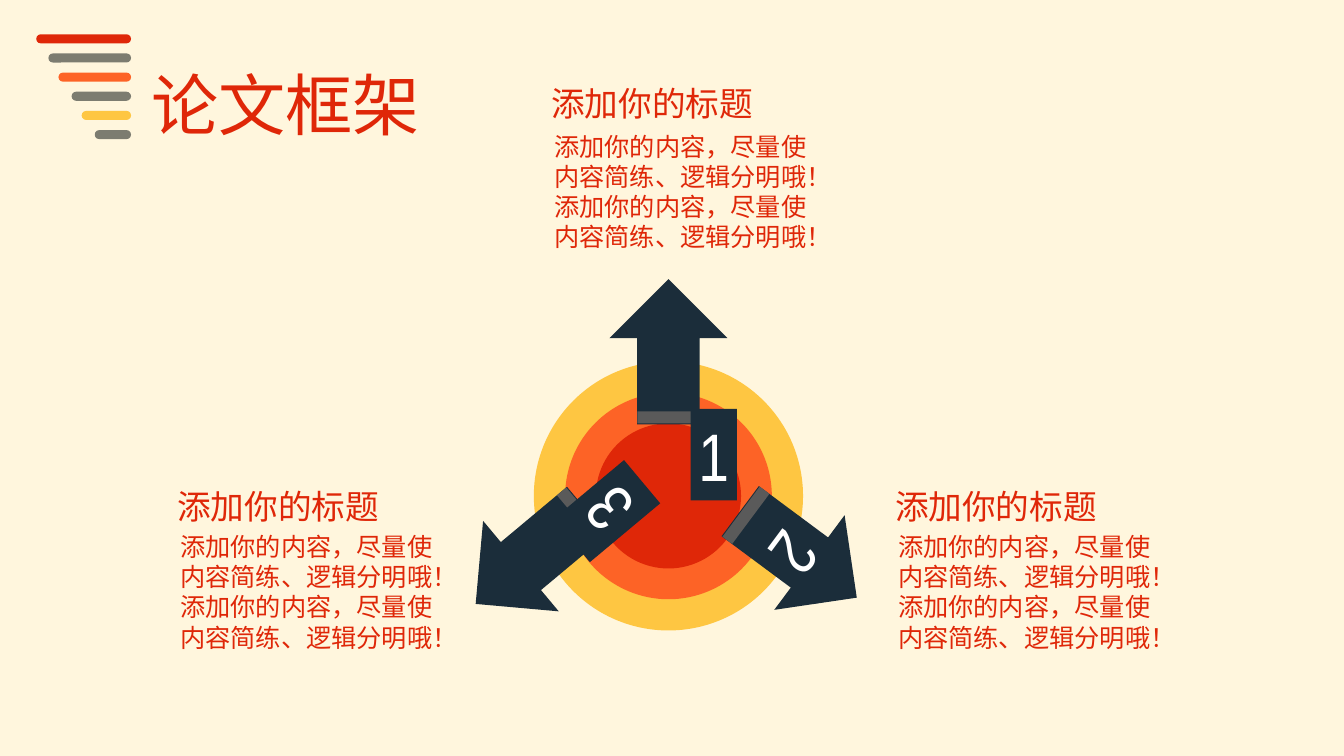
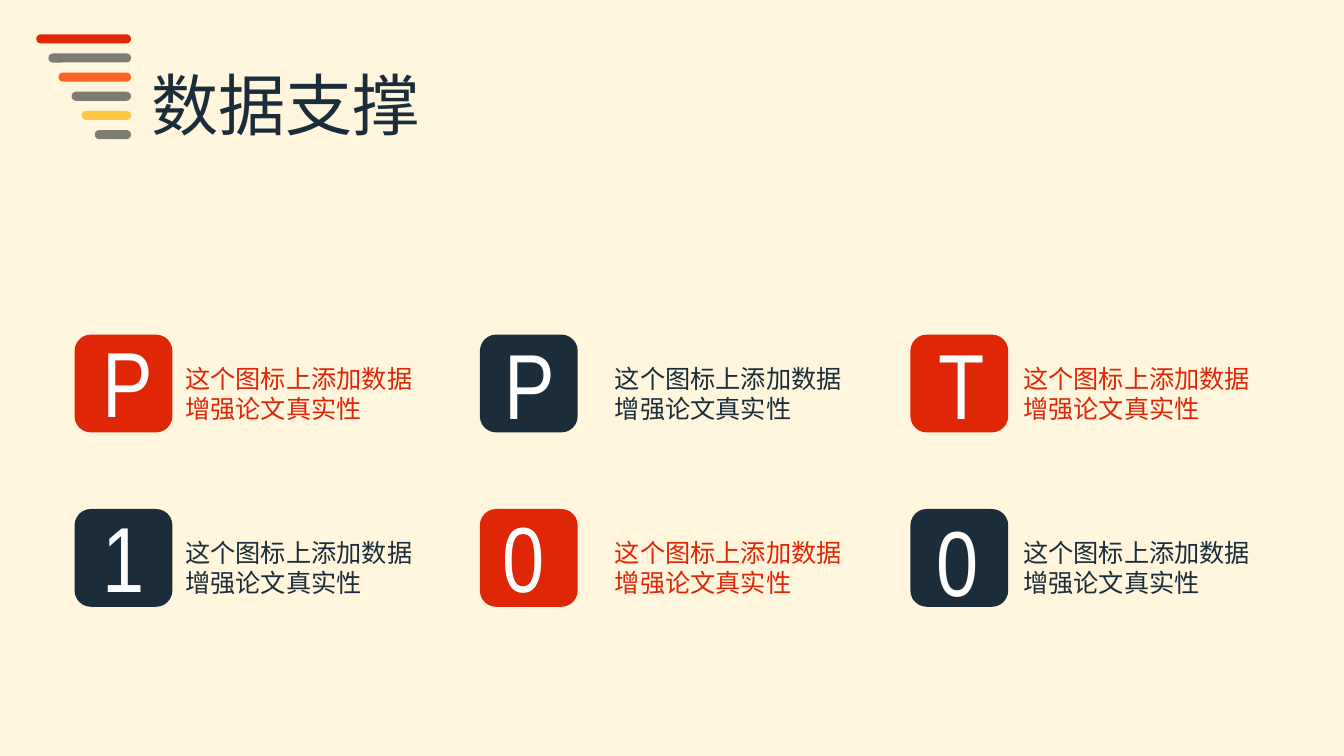
from dataclasses import dataclass
from math import cos, radians, sin

from lxml.etree import SubElement
from pptx import Presentation
from pptx.dml.color import RGBColor
from pptx.enum.lang import MSO_LANGUAGE_ID as LANG
from pptx.enum.shapes import MSO_SHAPE as SHAPE
from pptx.enum.text import MSO_ANCHOR as ANCHOR
from pptx.enum.text import MSO_AUTO_SIZE as AUTO_SIZE
from pptx.enum.text import PP_ALIGN as ALIGN
from pptx.oxml.ns import qn
from pptx.shapes.autoshape import Shape
from pptx.slide import Slide
from pptx.util import Inches, Pt


@dataclass(frozen=True)
class Theme:
    cream: str = "FFF6DD"
    red: str = "DF2708"
    orange: str = "FD6326"
    yellow: str = "FEC642"
    navy: str = "1B2D3A"
    gray: str = "7C7C70"
    dark_gray: str = "5A5A5A"
    white: str = "FFFFFF"
    cjk_font: str = "Noto Sans CJK SC"
    narrow_font: str = "Arial Narrow"
    title: int = 48
    heading: int = 24
    body: int = 18
    digit: int = 48
    letter: int = 66


T = Theme()


@dataclass(frozen=True)
class Bar:
    left: float
    color: str


@dataclass(frozen=True)
class Arrow:
    digit: str
    cx: float
    cy: float
    angle: float
    digit_cx: float
    digit_cy: float
    digit_width: float


@dataclass(frozen=True)
class Note:
    left: float
    top: float
    body_gap: float


@dataclass(frozen=True)
class Column:
    tile_left: float
    text_left: float
    text_width: float


@dataclass(frozen=True)
class Letter:
    char: str
    dx: float
    dy: float


BARS = [
    Bar(0.36, T.red), Bar(0.48, T.gray), Bar(0.58, T.orange),
    Bar(0.71, T.gray), Bar(0.81, T.yellow), Bar(0.94, T.gray),
]
BAR_TOP, BAR_PITCH, BAR_HEIGHT, BAR_RIGHT = 0.34, 0.19, 0.09, 1.3

RING_CENTER = (6.63, 4.92)
RINGS = [(2.67, T.yellow), (2.05, T.orange), (1.44, T.red)]
ARROW_SIZE, TAB_SIZE, TAB_DISTANCE = (1.17, 1.44), (0.62, 0.12), 0.65
DIGIT_HEIGHT = 0.91
ARROWS = [
    Arrow("1", 6.63, 3.49, 180, 7.08, 4.51, 0.46),
    Arrow("2", 7.92, 5.5, 306.6, 7.9, 5.5, 0.54),
    Arrow("3", 5.27, 5.53, 50.1, 6.02, 5.07, 0.56),
]
NOTES = [Note(5.37, 0.77, 0.48), Note(8.78, 4.77, 0.45), Note(1.66, 4.77, 0.45)]
NOTE_HEADING = "添加你的标题"
NOTE_BODY = "添加你的内容，尽量使内容简练、逻辑分明哦！" * 2

COLUMNS = [Column(0.74, 1.74, 3.41), Column(4.76, 6, 3.41), Column(9.03, 10.05, 3.28)]
ROW_TOPS = [3.32, 5.05]
TILE_SIZE = 0.97
LETTERS = [
    [Letter("P", 0.18, -0.14), Letter("P", 0.15, -0.12), Letter("T", 0.18, -0.12)],
    [Letter("1", 0.18, -0.14), Letter("0", 0.13, -0.14), Letter("0", 0.16, -0.1)],
]
TILE_TEXT = "这个图标上添加数据\n增强论文真实性"


def write(sp: Shape, text: str, *, size: int, color: str,
          font: str = T.cjk_font, align: ALIGN = ALIGN.LEFT) -> None:
    """Fill a shape with text, one paragraph per line."""
    tf = sp.text_frame
    for i, line in enumerate(text.split("\n")):
        p = tf.add_paragraph() if i else tf.paragraphs[0]
        p.alignment = align
        r = p.add_run()
        r.text = line
        r.font.size = Pt(size)
        r.font.color.rgb = RGBColor.from_string(color)
        r.font.name = font
        r.font.language_id = LANG.SIMPLIFIED_CHINESE
        SubElement(r.font._element, qn("a:ea"), typeface=font)


def add_text(s: Slide, text: str, left: float, top: float, width: float,
             height: float, *, wrap: bool = True, **fmt) -> None:
    sp = s.shapes.add_textbox(Inches(left), Inches(top), Inches(width), Inches(height))
    sp.text_frame.word_wrap = wrap
    sp.text_frame.auto_size = AUTO_SIZE.SHAPE_TO_FIT_TEXT
    write(sp, text, **fmt)


def add_shape(s: Slide, kind: SHAPE, left: float, top: float, width: float,
              height: float, color: str) -> Shape:
    sp = s.shapes.add_shape(kind, Inches(left), Inches(top), Inches(width), Inches(height))
    sp.shadow.inherit = False
    sp.fill.solid()
    sp.fill.fore_color.rgb = RGBColor.from_string(color)
    sp.line.fill.background()
    return sp


def add_centered(s: Slide, kind: SHAPE, cx: float, cy: float, width: float,
                 height: float, color: str, angle: float = 0) -> Shape:
    sp = add_shape(s, kind, cx - width / 2, cy - height / 2, width, height, color)
    sp.rotation = angle
    return sp


def add_slide(prs: Presentation, title: str, color: str) -> Slide:
    """Add a blank slide with the corner bars and the title."""
    s = prs.slides.add_slide(prs.slide_layouts[6])
    for i, bar in enumerate(BARS):
        sp = add_shape(s, SHAPE.ROUNDED_RECTANGLE, bar.left, BAR_TOP + i * BAR_PITCH,
                       BAR_RIGHT - bar.left, BAR_HEIGHT, bar.color)
        sp.adjustments[0] = 0.5
    add_text(s, title, 1.4, 0.58, 2.89, 0.91, wrap=False, size=T.title, color=color)
    return s


def add_arrow(s: Slide, arrow: Arrow) -> None:
    """Draw an arrow, the tab across its tail and its numbered box."""
    sp = add_centered(s, SHAPE.DOWN_ARROW, arrow.cx, arrow.cy, *ARROW_SIZE,
                      T.navy, arrow.angle)
    sp.adjustments[0] = 0.53
    sp.adjustments[1] = 0.5
    turn = radians(arrow.angle)
    add_centered(s, SHAPE.RECTANGLE, arrow.cx + TAB_DISTANCE * sin(turn),
                 arrow.cy - TAB_DISTANCE * cos(turn), *TAB_SIZE, T.dark_gray, arrow.angle)
    box = add_centered(s, SHAPE.RECTANGLE, arrow.digit_cx, arrow.digit_cy,
                       arrow.digit_width, DIGIT_HEIGHT, T.navy, (arrow.angle + 180) % 360)
    tf = box.text_frame
    tf.margin_left = tf.margin_right = tf.margin_top = tf.margin_bottom = 0
    tf.vertical_anchor = ANCHOR.MIDDLE
    write(box, arrow.digit, size=T.digit, color=T.white, font=T.narrow_font,
          align=ALIGN.CENTER)


def build_framework(prs: Presentation) -> None:
    s = add_slide(prs, "论文框架", T.red)
    for diameter, color in RINGS:
        add_centered(s, SHAPE.OVAL, *RING_CENTER, diameter, diameter, color)
    for arrow in ARROWS:
        add_arrow(s, arrow)
    for note in NOTES:
        add_text(s, NOTE_HEADING, note.left, note.top, 2.22, 0.5, wrap=False,
                 size=T.heading, color=T.red)
        add_text(s, NOTE_BODY, note.left + 0.03, note.top + note.body_gap, 2.73, 1.62,
                 size=T.body, color=T.red)


def build_data(prs: Presentation) -> None:
    s = add_slide(prs, "数据支撑", T.navy)
    for row, (top, letters) in enumerate(zip(ROW_TOPS, LETTERS)):
        for col, (column, letter) in enumerate(zip(COLUMNS, letters)):
            color = T.navy if (row + col) % 2 else T.red
            add_shape(s, SHAPE.ROUNDED_RECTANGLE, column.tile_left, top,
                      TILE_SIZE, TILE_SIZE, color)
            add_text(s, TILE_TEXT, column.text_left, top + 0.23, column.text_width, 0.71,
                     size=T.body, color=color)
            add_text(s, letter.char, column.tile_left + letter.dx, top + letter.dy,
                     0.7, 1.21, size=T.letter, color=T.white, font=T.narrow_font)


def main() -> None:
    prs = Presentation()
    prs.slide_width, prs.slide_height = Inches(13.33), Inches(7.5)
    fill = prs.slide_master.background.fill
    fill.solid()
    fill.fore_color.rgb = RGBColor.from_string(T.cream)
    build_framework(prs)
    build_data(prs)
    prs.save("out.pptx")


if __name__ == "__main__":
    main()
